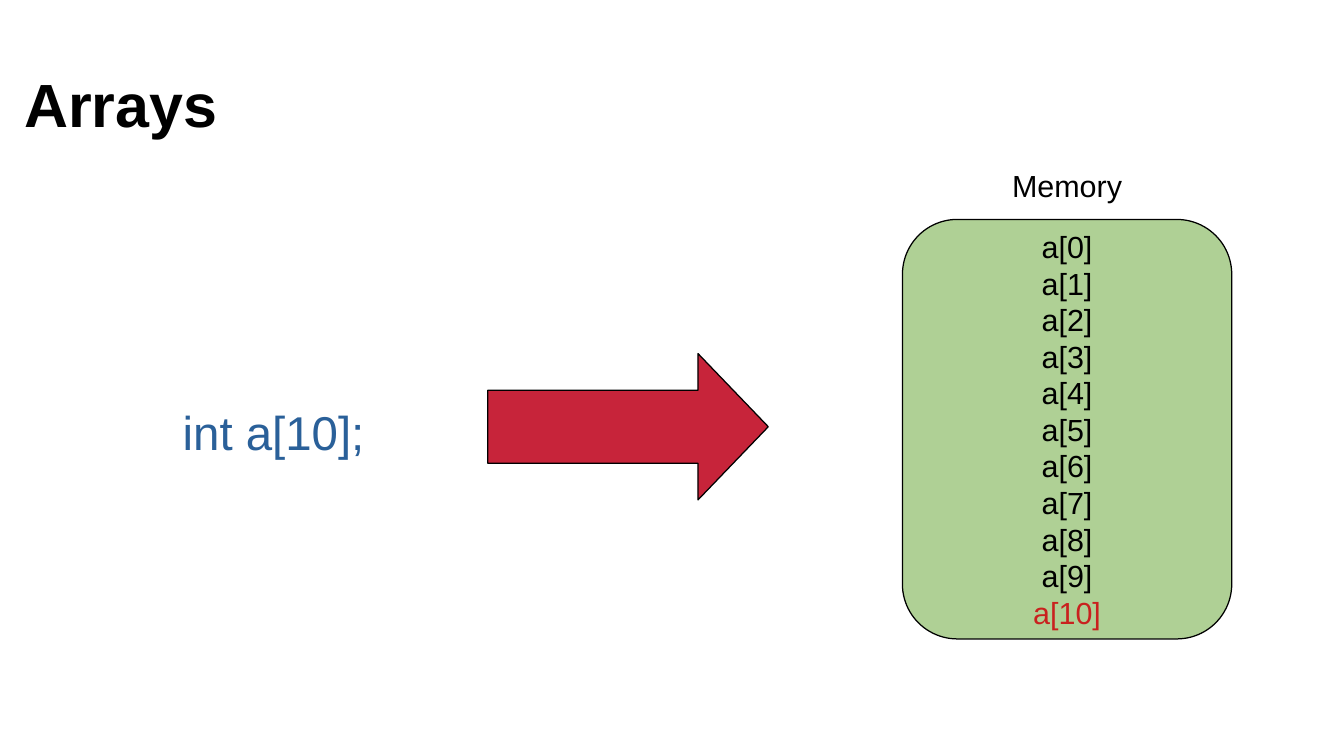
from pptx import Presentation
from pptx.dml.color import RGBColor
from pptx.enum.shapes import MSO_SHAPE
from pptx.enum.text import MSO_ANCHOR, PP_ALIGN
from pptx.util import Inches, Pt

ARROW, ROUNDED = MSO_SHAPE.RIGHT_ARROW, MSO_SHAPE.ROUNDED_RECTANGLE
TOP, MIDDLE = MSO_ANCHOR.TOP, MSO_ANCHOR.MIDDLE
LEFT, CENTER = PP_ALIGN.LEFT, PP_ALIGN.CENTER

# Content
ARRAY_SIZE = 10
TITLE = "Arrays"
DECLARATION = f"int a[{ARRAY_SIZE}];"
MEMORY_LABEL = "Memory"
CELLS = [f"a[{i}]" for i in range(ARRAY_SIZE + 1)]  # the last is out of bounds

THEME = {
    "font": "Arial",
    "title": 36, "code": 28, "body": 18,
    "ink": "000000", "blue": "2A6099", "red": "C7243A",
    "green": "AFD095", "out_of_bounds": "C9211E",
}

# Layout in inches: left, top, width, height
TITLE_BOX = (0.1, 0.5, 10.2, 0.66)
DECLARATION_BOX = (1.4, 3.26, 1.8, 0.84)
ARROW_BOX = (4, 2.9, 2.3, 1.2)
MEMORY_BOX = (7.4, 1.8, 2.7, 3.44)
LABEL_BOX = (8.2, 1.32, 1.4, 0.38)
CORNER_RADIUS = 0.45


def color(name):
    return RGBColor.from_string(THEME[name])


def write(shape, lines, size, align=LEFT, anchor=TOP, bold=False):
    """Fill a shape with (text, color name) lines."""
    frame = shape.text_frame
    frame.word_wrap = True
    frame.vertical_anchor = anchor
    for i, (text, ink) in enumerate(lines):
        paragraph = frame.add_paragraph() if i else frame.paragraphs[0]
        paragraph.alignment = align
        run = paragraph.add_run()
        run.text = text
        run.font.name = THEME["font"]
        run.font.size = Pt(THEME[size])
        run.font.bold = bold
        run.font.color.rgb = color(ink)


def add_label(slide, box, text, size, ink="ink", bold=False):
    label = slide.shapes.add_textbox(*map(Inches, box))
    write(label, [(text, ink)], size, bold=bold)


def add_block(slide, kind, box, fill, adjustments):
    block = slide.shapes.add_shape(kind, *map(Inches, box))
    block.shadow.inherit = False
    block.fill.solid()
    block.fill.fore_color.rgb = color(fill)
    block.line.color.rgb = color("ink")
    block.line.width = Pt(0)
    for i, value in enumerate(adjustments):
        block.adjustments[i] = value
    return block


def main():
    deck = Presentation()
    deck.slide_width, deck.slide_height = Inches(11.02), Inches(6.2)
    slide = deck.slides.add_slide(deck.slide_layouts[6])

    # Title and declaration
    add_label(slide, TITLE_BOX, TITLE, "title", bold=True)
    add_label(slide, DECLARATION_BOX, DECLARATION, "code", "blue")

    # Arrow from the declaration to memory
    add_block(slide, ARROW, ARROW_BOX, "red", [0.5, 0.48])

    # Memory cells
    memory = add_block(slide, ROUNDED, MEMORY_BOX, "green",
                       [CORNER_RADIUS / min(MEMORY_BOX[2:])])
    lines = [(cell, "ink") for cell in CELLS[:ARRAY_SIZE]]
    lines += [(cell, "out_of_bounds") for cell in CELLS[ARRAY_SIZE:]]
    write(memory, lines, "body", CENTER, MIDDLE)
    add_label(slide, LABEL_BOX, MEMORY_LABEL, "body")

    deck.save("out.pptx")


if __name__ == "__main__":
    main()
